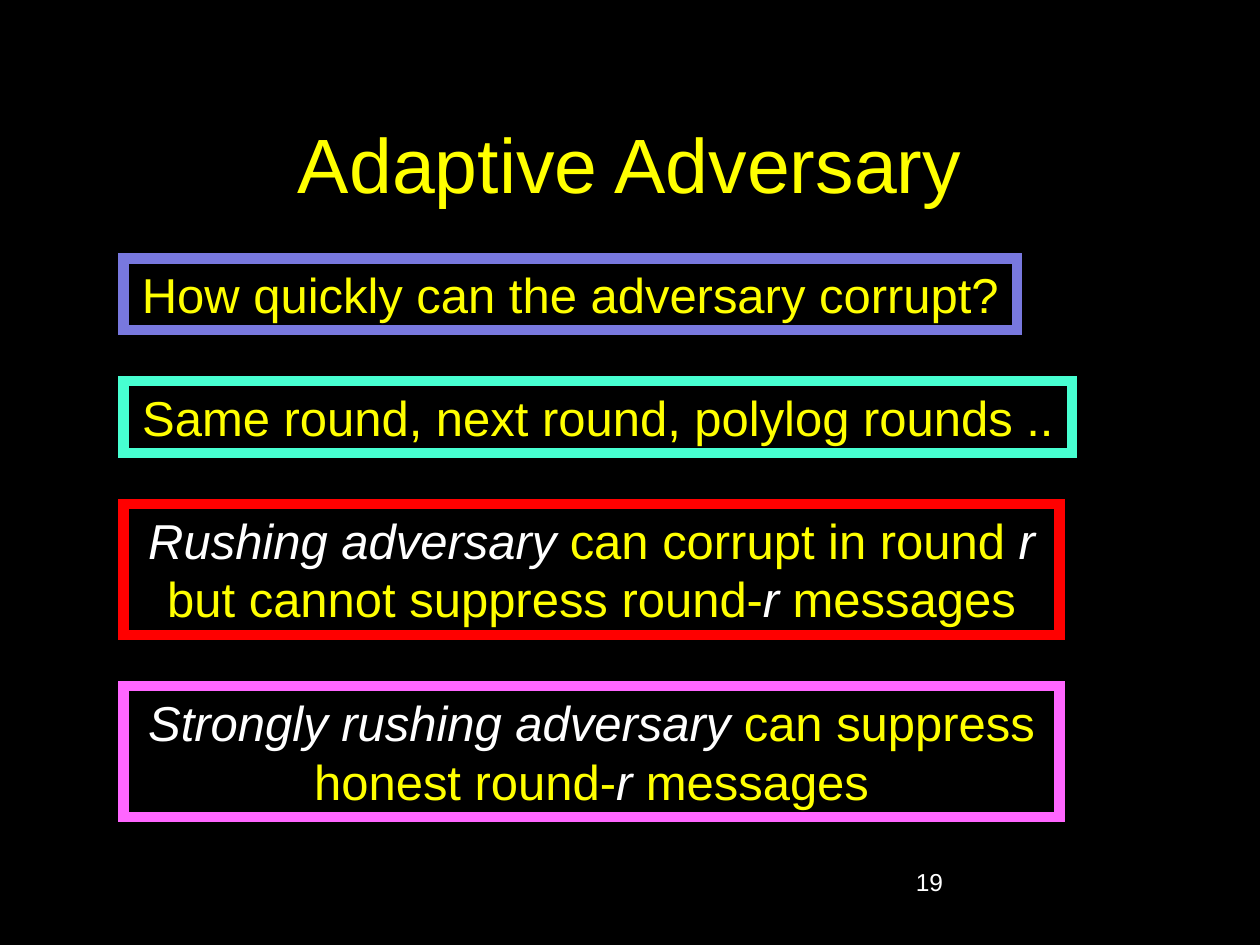
"""Build the Adaptive Adversary slide: a title, four outlined statements and a page number."""
import dataclasses
import typing

import lxml.etree
import pptx
import pptx.dml.color
import pptx.enum.shapes
import pptx.enum.text
import pptx.oxml.ns
import pptx.slide
import pptx.text.text
import pptx.util

BLACK = pptx.dml.color.RGBColor(0x00, 0x00, 0x00)
WHITE = pptx.dml.color.RGBColor(0xFF, 0xFF, 0xFF)
YELLOW = pptx.dml.color.RGBColor(0xFF, 0xFF, 0x00)
RED = pptx.dml.color.RGBColor(0xFF, 0x00, 0x00)
VIOLET = pptx.dml.color.RGBColor(0x78, 0x78, 0xDE)
TURQUOISE = pptx.dml.color.RGBColor(0x47, 0xFF, 0xD1)
PINK = pptx.dml.color.RGBColor(0xFF, 0x66, 0xFF)

SLIDE_WIDTH = pptx.util.Inches(10)
SLIDE_HEIGHT = pptx.util.Inches(7.5)
COLUMNS, ROWS = 100, 75
FONT = "Arial"
CENTER = pptx.enum.text.PP_ALIGN.CENTER
MIDDLE = pptx.enum.text.MSO_ANCHOR.MIDDLE

BOX_LEFT = 9.8
FIRST_BOX_TOP = 20.5
BOX_GAP = 4.05


class Piece(typing.NamedTuple):
    text: str
    term: bool = False


@dataclasses.dataclass(frozen=True)
class Statement:
    pieces: tuple[Piece, ...]
    outline: pptx.dml.color.RGBColor
    columns: float
    rows: float
    wraps: bool


STATEMENTS = (
    Statement((Piece("How quickly can the adversary corrupt?"),), VIOLET, 70.9, 5.7, False),
    Statement((Piece("Same round, next round, polylog rounds .."),), TURQUOISE, 75.3, 5.7, False),
    Statement(
        (
            Piece("Rushing adversary ", True),
            Piece("can corrupt in round "),
            Piece("r", True),
            Piece(" but cannot suppress round-"),
            Piece("r", True),
            Piece(" messages"),
        ),
        RED, 74.3, 10.4, True,
    ),
    Statement(
        (
            Piece("Strongly rushing adversary ", True),
            Piece("can suppress honest round-"),
            Piece("r", True),
            Piece(" messages"),
        ),
        PINK, 74.3, 10.4, True,
    ),
)


def place(left: float, top: float, columns: float, rows: float) -> tuple[int, int, int, int]:
    """Turn grid columns and rows into slide lengths."""
    return (
        round(SLIDE_WIDTH * left / COLUMNS),
        round(SLIDE_HEIGHT * top / ROWS),
        round(SLIDE_WIDTH * columns / COLUMNS),
        round(SLIDE_HEIGHT * rows / ROWS),
    )


def add_run(
    paragraph: pptx.text.text._Paragraph,
    text: str,
    size: int,
    color: pptx.dml.color.RGBColor,
    italic: bool = False,
) -> None:
    """Append one formatted run to a paragraph."""
    run = paragraph.add_run()
    run.text = text
    run.font.name = FONT
    run.font.size = pptx.util.Pt(size)
    run.font.color.rgb = color
    run.font.italic = italic


def add_title(slide: pptx.slide.Slide, text: str) -> None:
    """Position and fill the title placeholder."""
    title = slide.shapes.title
    title.left, title.top, title.width, title.height = place(7.5, 6.7, 85, 12.5)
    title.text_frame.vertical_anchor = MIDDLE
    paragraph = title.text_frame.paragraphs[0]
    paragraph.alignment = CENTER
    add_run(paragraph, text, 44, YELLOW)


def add_statement(slide: pptx.slide.Slide, statement: Statement, top: float) -> None:
    """Draw one outlined statement with its highlighted terms."""
    shape = slide.shapes.add_shape(
        pptx.enum.shapes.MSO_SHAPE.RECTANGLE,
        *place(BOX_LEFT, top, statement.columns, statement.rows),
    )
    shape.shadow.inherit = False
    shape.fill.solid()
    shape.fill.fore_color.rgb = BLACK
    shape.line.color.rgb = statement.outline
    shape.line.width = pptx.util.Pt(6)
    outline = shape.line._get_or_add_ln()
    lxml.etree.SubElement(outline, pptx.oxml.ns.qn("a:miter"), lim="800000")
    frame = shape.text_frame
    frame.word_wrap = statement.wraps
    frame.auto_size = pptx.enum.text.MSO_AUTO_SIZE.SHAPE_TO_FIT_TEXT
    frame.vertical_anchor = pptx.enum.text.MSO_ANCHOR.TOP
    paragraph = frame.paragraphs[0]
    paragraph.alignment = CENTER
    for piece in statement.pieces:
        add_run(paragraph, piece.text, 28, WHITE if piece.term else YELLOW, piece.term)


def add_page_number(slide: pptx.slide.Slide, text: str) -> None:
    """Write the page number at the bottom right."""
    frame = slide.shapes.add_textbox(*place(71.7, 68.3, 20.8, 5)).text_frame
    frame.word_wrap = True
    add_run(frame.paragraphs[0], text, 14, WHITE)


def main() -> None:
    """Assemble and save the presentation."""
    presentation = pptx.Presentation()
    presentation.slide_width = SLIDE_WIDTH
    presentation.slide_height = SLIDE_HEIGHT
    slide = presentation.slides.add_slide(presentation.slide_layouts.get_by_name("Title Only"))
    slide.background.fill.solid()
    slide.background.fill.fore_color.rgb = BLACK
    add_title(slide, "Adaptive Adversary")
    top = FIRST_BOX_TOP
    for statement in STATEMENTS:
        add_statement(slide, statement, top)
        top += statement.rows + BOX_GAP
    add_page_number(slide, "19")
    presentation.save("out.pptx")


if __name__ == "__main__":
    main()
